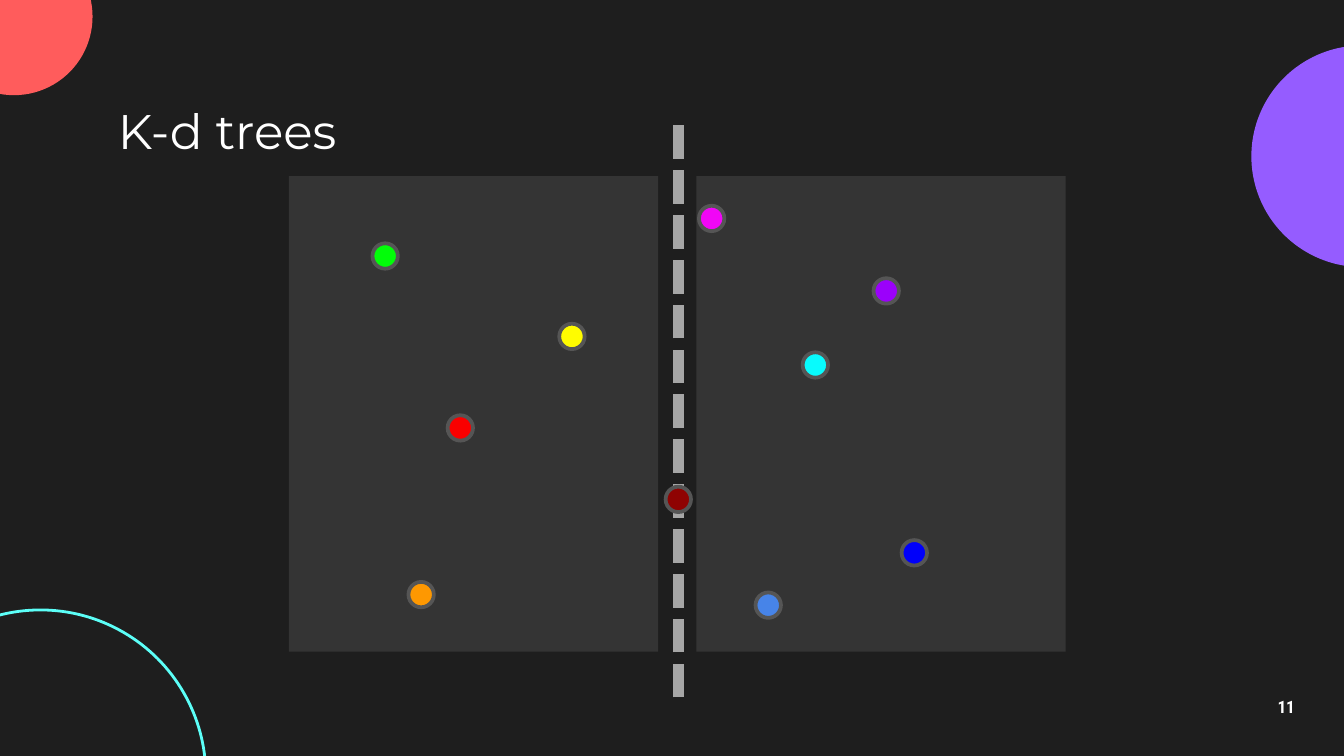
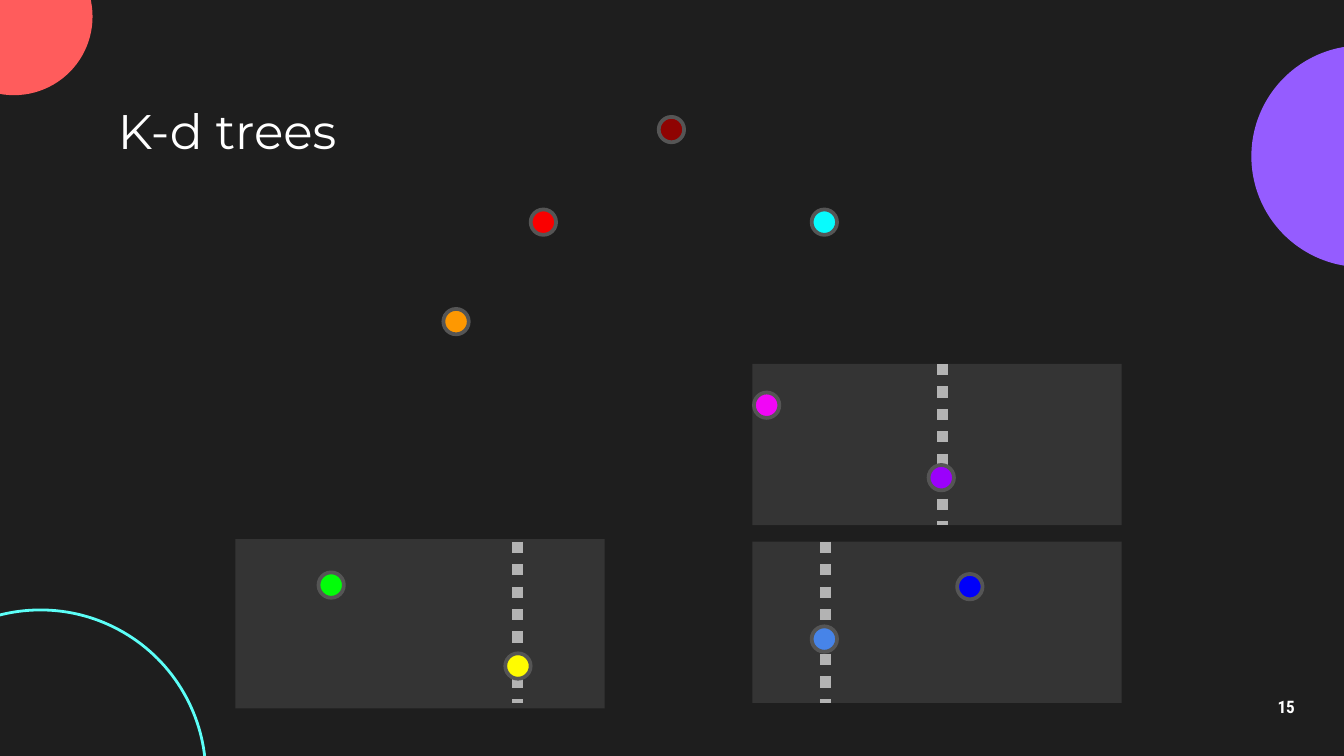
import pptx
import pptx.dml.color
import pptx.enum.dml
import pptx.enum.shapes
import pptx.enum.text
import pptx.oxml
import pptx.oxml.ns
import pptx.util
from dataclasses import dataclass

Cm = pptx.util.Cm
Pt = pptx.util.Pt
Shape = pptx.enum.shapes.MSO_SHAPE
Dash = pptx.enum.dml.MSO_LINE
Align = pptx.enum.text.PP_ALIGN


@dataclass(frozen=True)
class Theme:
    background: str = "1E1E1E"
    panel: str = "343434"
    ring: str = "555555"
    text: str = "FFFFFF"
    title_font: str = "Montserrat"
    number_font: str = "Roboto Condensed"
    title_size: float = 26
    number_size: float = 9.2
    ring_width: float = 2
    divider_width: float = 6


THEME = Theme()
POINT_COLOURS = {
    "cyan": "08FBFD",
    "purple": "9B01FB",
    "magenta": "F106F6",
    "maroon": "8F0302",
    "blue": "0000FA",
    "orange": "FE9801",
    "green": "02FD09",
    "yellow": "FFFC00",
    "red": "FA0000",
    "sky": "4784E8",
}
CORNER_CIRCLES = [
    (23.65, 0.86, 4.19, "955CFF", None),
    (-1.22, -1.17, 2.97, "FF5C5C", None),
    (-2.36, 11.53, 6.25, None, "5CFFF8"),
]
TITLE_BOX = (1.98, 1.8, 21.44, 1.3)
NUMBER_BOX = (23.55, 12.95, 1.52, 0.86)
PANEL_WIDTH = 6.98
POINT_SIZE = 0.48
INSET = 0.25

SLIDES = [
    {
        "title": "K-d trees",
        "number": "11",
        "panels": [(5.46, 3.33, 8.99), (13.16, 3.33, 8.99)],
        "dividers": [(12.83, 13.18, 2.34)],
        "divider_style": ("A6A6A6", Dash.SQUARE_DOT),
        "points": {
            "cyan": (15.41, 6.9),
            "purple": (16.75, 5.5),
            "magenta": (13.45, 4.13),
            "maroon": (12.82, 9.44),
            "blue": (17.28, 10.45),
            "orange": (7.96, 11.24),
            "green": (7.28, 4.84),
            "yellow": (10.81, 6.36),
            "red": (8.7, 8.09),
            "sky": (14.52, 11.44),
        },
    },
    {
        "title": "K-d trees",
        "number": "15",
        "panels": [(14.22, 10.24, 3.05), (4.45, 10.19, 3.2), (14.22, 6.88, 3.05)],
        "dividers": [(9.78, 10.24, 13.28), (17.81, 6.88, 9.93), (15.6, 10.24, 13.28)],
        "divider_style": ("B3B3B3", Dash.ROUND_DOT),
        "points": {
            "cyan": (15.58, 4.2),
            "purple": (17.79, 9.03),
            "magenta": (14.49, 7.66),
            "maroon": (12.69, 2.45),
            "blue": (18.33, 11.09),
            "orange": (8.62, 6.08),
            "green": (6.26, 11.06),
            "yellow": (9.79, 12.59),
            "red": (10.27, 4.2),
            "sky": (15.58, 12.08),
        },
    },
]


def rgb(value):
    return pptx.dml.color.RGBColor.from_string(value)


def add_figure(page, kind, frame, fill=None, line=None, width=1.5):
    figure = page.shapes.add_shape(kind, *map(Cm, frame))
    figure.shadow.inherit = False
    if fill:
        figure.fill.solid()
        figure.fill.fore_color.rgb = rgb(fill)
    else:
        figure.fill.background()
    if line:
        figure.line.color.rgb = rgb(line)
        figure.line.width = Pt(width)
    else:
        figure.line.fill.background()


def add_divider(page, x, start, end, colour, dash):
    divider = page.shapes.add_connector(
        pptx.enum.shapes.MSO_CONNECTOR.STRAIGHT, Cm(x), Cm(start), Cm(x), Cm(end)
    )
    divider.line.color.rgb = rgb(colour)
    divider.line.width = Pt(THEME.divider_width)
    divider.line.dash_style = dash
    properties = divider._element.spPr
    properties.append(pptx.oxml.parse_xml(f"<a:effectLst {pptx.oxml.ns.nsdecls('a')}/>"))


def write_text(box, text, font, size, align, bold=False, spacing=1.0):
    frame = box.text_frame
    frame.word_wrap = True
    frame.auto_size = pptx.enum.text.MSO_AUTO_SIZE.NONE
    frame.vertical_anchor = pptx.enum.text.MSO_ANCHOR.MIDDLE
    for side in ("left", "top", "right", "bottom"):
        setattr(frame, f"margin_{side}", Cm(INSET))
    para = frame.paragraphs[0]
    para.alignment = align
    para.line_spacing = spacing
    span = para.add_run()
    span.text = text
    span.font.name = font
    span.font.size = Pt(size)
    span.font.bold = bold
    span.font.color.rgb = rgb(THEME.text)


def add_base(deck, title, number):
    page = deck.slides.add_slide(deck.slide_layouts.get_by_name("Title Only"))
    for left, top, size, fill, line in CORNER_CIRCLES:
        add_figure(page, Shape.OVAL, (left, top, size, size), fill, line)
    heading = page.shapes.title
    heading.left, heading.top, heading.width, heading.height = map(Cm, TITLE_BOX)
    write_text(heading, title, THEME.title_font, THEME.title_size, Align.LEFT)
    box = page.shapes.add_textbox(*map(Cm, NUMBER_BOX))
    write_text(box, number, THEME.number_font, THEME.number_size, Align.CENTER, True, 0.9)
    return page


def build_slide(deck, content):
    page = add_base(deck, content["title"], content["number"])
    for left, top, height in content["panels"]:
        add_figure(page, Shape.RECTANGLE, (left, top, PANEL_WIDTH, height), THEME.panel)
    for divider in content["dividers"]:
        add_divider(page, *divider, *content["divider_style"])
    for name, (x, y) in content["points"].items():
        frame = (x - POINT_SIZE / 2, y - POINT_SIZE / 2, POINT_SIZE, POINT_SIZE)
        add_figure(page, Shape.OVAL, frame, POINT_COLOURS[name], THEME.ring, THEME.ring_width)


def main():
    deck = pptx.Presentation()
    deck.slide_width, deck.slide_height = Cm(25.4), Cm(14.29)
    backdrop = deck.slide_master.background.fill
    backdrop.solid()
    backdrop.fore_color.rgb = rgb(THEME.background)
    for content in SLIDES:
        build_slide(deck, content)
    deck.save("out.pptx")


if __name__ == "__main__":
    main()
